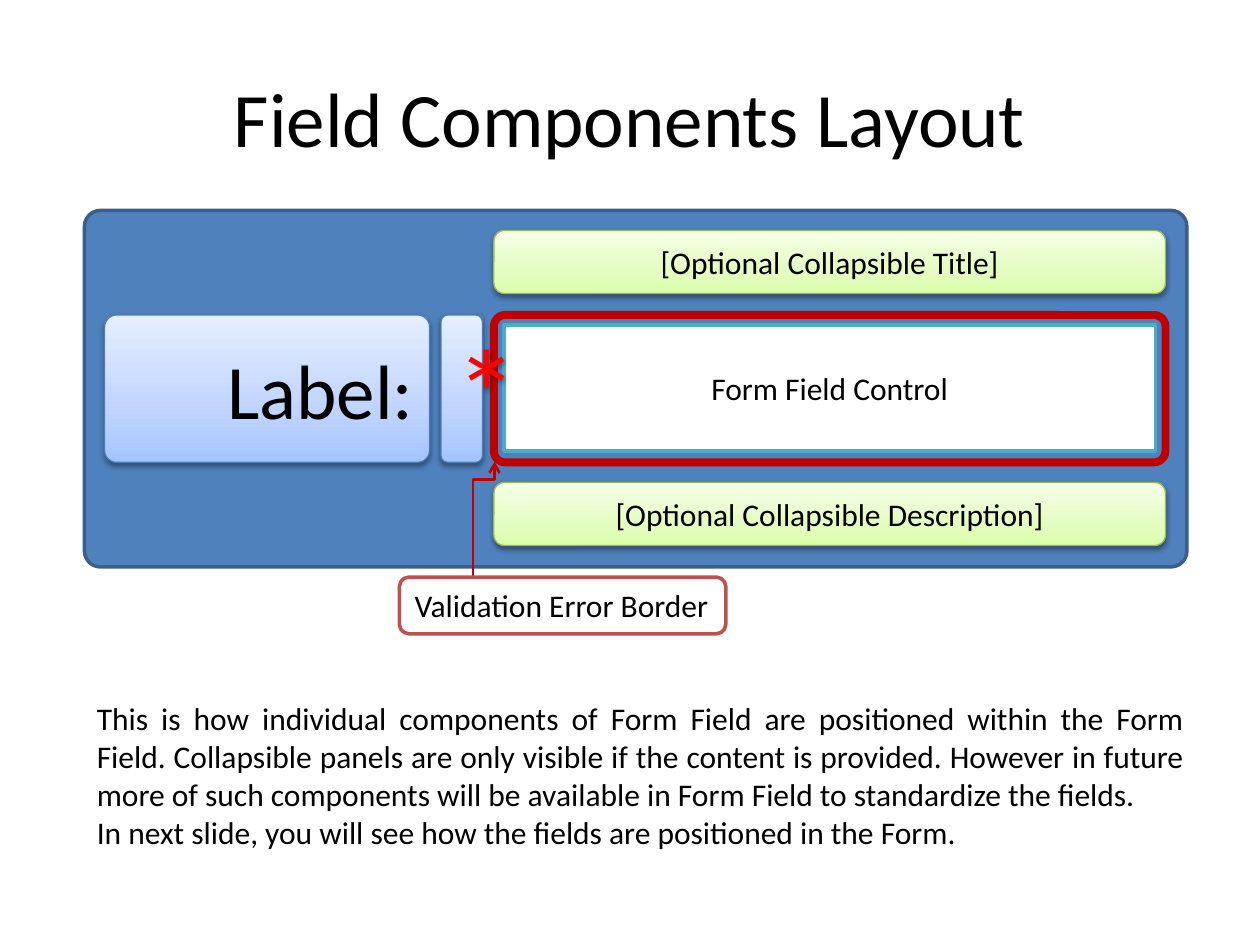
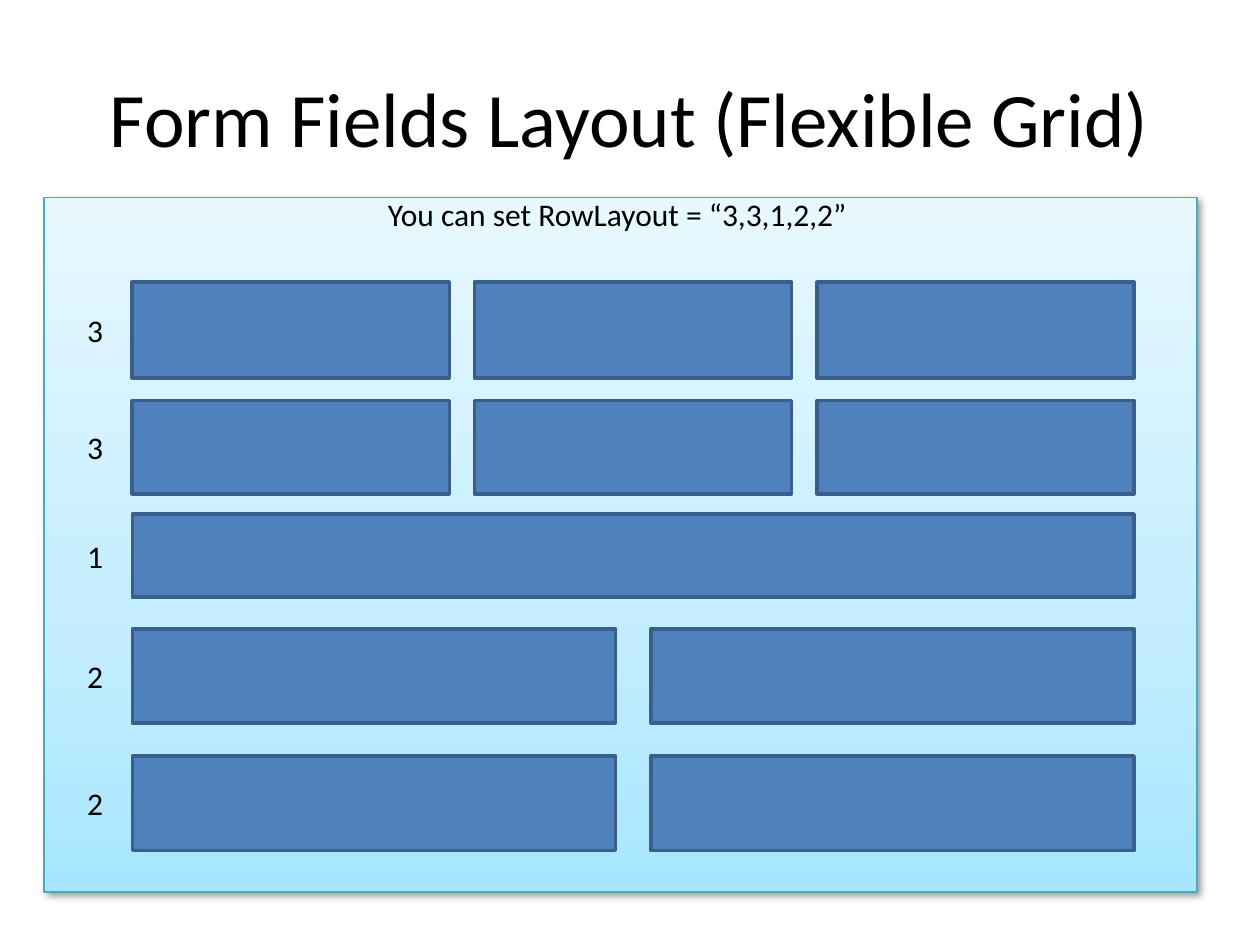
from dataclasses import dataclass

from pptx import Presentation
from pptx.dml.color import RGBColor
from pptx.enum import shapes, text
from pptx.oxml import parse_xml
from pptx.oxml.ns import nsdecls, qn
from pptx.util import Inches, Pt


@dataclass(frozen=True)
class Theme:
    font: str = "Calibri"
    title_size: int = 44
    body_size: int = 18
    star_size: int = 72
    ink: str = "000000"
    white: str = "FFFFFF"
    required: str = "FF0000"
    block: str = "4F81BD"
    block_edge: str = "3A5F8C"
    control_edge: str = "4BACC6"
    error: str = "C00000"
    error_edge: str = "C0504D"
    green: tuple = ("DAFDA7", "E4FCC2", "F5FFE7")  # gradients run bottom to top
    green_edge: str = "98B955"
    blue: tuple = ("A4C4FF", "BFD4FF", "E6EEFF")
    blue_edge: str = "4B7EBC"
    sky: tuple = ("A7E6FF", "C1EDFF", "E7F8FF")
    sky_edge: str = "46AAC5"
    soft_shadow: tuple = (38, 3.1, 1.6, 90)  # opacity, blur, distance, angle
    panel_shadow: tuple = (40, 4, 3, 45)


theme = Theme()
RECT = shapes.MSO_SHAPE.RECTANGLE
ROUND = shapes.MSO_SHAPE.ROUNDED_RECTANGLE
ALIGN = text.PP_ALIGN
ANCHOR = text.MSO_ANCHOR


def add_box(slide, at, kind, fill, edge, width, radius=None, shadow=None):
    """Add a preset shape; fill is a colour, three gradient colours or None."""
    box = slide.shapes.add_shape(kind, *map(Inches, at))
    if radius is not None:
        box.adjustments[0] = radius
    if fill is None:
        box.fill.background()
    elif isinstance(fill, str):
        box.fill.solid()
        box.fill.fore_color.rgb = RGBColor.from_string(fill)
    else:
        box.fill.gradient()
        box.fill.gradient_angle = 90
        stops = box.element.spPr.find(".//" + qn("a:gsLst"))
        for stop in list(stops):
            stops.remove(stop)
        for position, colour in zip((0, 35, 100), fill):
            stops.append(parse_xml(
                f'<a:gs {nsdecls("a")} pos="{position * 1000}">'
                f'<a:srgbClr val="{colour}"/></a:gs>'))
    box.line.color.rgb = RGBColor.from_string(edge)
    box.line.width = Pt(width)
    box.shadow.inherit = False
    if shadow:
        opacity, blur, distance, angle = shadow
        box.element.spPr.find(qn("a:effectLst")).append(parse_xml(
            f'<a:outerShdw {nsdecls("a")} blurRad="{Pt(blur)}" dist="{Pt(distance)}" '
            f'dir="{angle * 60000}" rotWithShape="0"><a:srgbClr val="{theme.ink}">'
            f'<a:alpha val="{opacity * 1000}"/></a:srgbClr></a:outerShdw>'))
    return box


def write(box, lines, size=theme.body_size, colour=theme.ink,
          align=ALIGN.CENTER, anchor=ANCHOR.MIDDLE, wrap=True):
    frame = box.text_frame
    frame.word_wrap = wrap
    frame.vertical_anchor = anchor
    for number, line in enumerate(lines):
        paragraph = frame.add_paragraph() if number else frame.paragraphs[0]
        paragraph.alignment = align
        run = paragraph.add_run()
        run.text = line
        run.font.name = theme.font
        run.font.size = Pt(size)
        run.font.color.rgb = RGBColor.from_string(colour)


deck = Presentation()
deck.slide_width, deck.slide_height = Inches(10), Inches(7.5)

# Slides with their shared title
slides = []
for heading in ("Field Components Layout", "Form Fields Layout (Flexible Grid)"):
    slide = deck.slides.add_slide(deck.slide_layouts[6])
    title = slide.shapes.add_textbox(*map(Inches, (0.5, 0.3, 9, 1.25)))
    write(title, [heading], theme.title_size)
    slides.append(slide)
components, grid = slides

# Slide 1: the field and its control
add_box(components, (0.67, 1.67, 8.75, 2.83), ROUND,
        theme.block, theme.block_edge, 2, 0.045)
control = add_box(components, (4, 2.58, 5.17, 1), RECT,
                  theme.white, theme.control_edge, 2)
write(control, ["Form Field Control"])
add_box(components, (3.92, 2.5, 5.33, 1.17), ROUND, None, theme.error, 4.5, 0.077)

# Collapsible panels above and below the control
for top, caption in ((1.83, "[Optional Collapsible Title]"),
                     (3.83, "[Optional Collapsible Description]")):
    panel = add_box(components, (3.92, top, 5.33, 0.5), ROUND, theme.green,
                    theme.green_edge, 0.75, shadow=theme.soft_shadow)
    write(panel, [caption])

# Required mark and label
required = add_box(components, (3.5, 2.5, 0.33, 1.17), ROUND, theme.blue,
                   theme.blue_edge, 0.75, shadow=theme.soft_shadow)
write(required, ["*"], theme.star_size, theme.required)
label = add_box(components, (0.83, 2.5, 2.58, 1.17), ROUND, theme.blue,
                theme.blue_edge, 0.75, 0.083, theme.soft_shadow)
write(label, ["Label:"], theme.title_size, align=ALIGN.RIGHT)

# Bent arrow from the note up to the error border, turned a quarter
pointer = components.shapes.add_connector(
    shapes.MSO_CONNECTOR.ELBOW, *map(Inches, (4.3, 4.21, 3.38, 4.04)))
pointer.line.color.rgb = RGBColor.from_string(theme.error)
pointer.line.width = Pt(1.5)
outline = pointer.element.spPr
outline.find(qn("a:xfrm")).set("rot", str(90 * 60000))
outline.find(".//" + qn("a:avLst")).append(
    parse_xml(f'<a:gd {nsdecls("a")} name="adj1" fmla="val 84800"/>'))
outline.find(qn("a:ln")).append(
    parse_xml(f'<a:tailEnd {nsdecls("a")} type="arrow"/>'))
outline.append(parse_xml(f'<a:effectLst {nsdecls("a")}/>'))

error_note = add_box(components, (3.17, 4.58, 2.59, 0.45), ROUND,
                     theme.white, theme.error_edge, 2)
write(error_note, ["Validation Error Border"], align=ALIGN.LEFT,
      anchor=ANCHOR.TOP, wrap=False)

# Explanation
explanation = components.shapes.add_textbox(*map(Inches, (0.67, 5.5, 8.83, 1.31)))
write(explanation, [
    "This is how individual components of Form Field are positioned within the "
    "Form Field. Collapsible panels are only visible if the content is provided. "
    "However in future more of such components will be available in Form Field "
    "to standardize the fields.",
    "In next slide, you will see how the fields are positioned in the Form.",
], align=ALIGN.JUSTIFY, anchor=ANCHOR.TOP)

# Slide 2: form panel
add_box(grid, (0.35, 1.57, 9.15, 5.51), RECT, theme.sky, theme.sky_edge, 0.75,
        shadow=theme.panel_shadow)
setting = grid.shapes.add_textbox(*map(Inches, (1.65, 1.5, 6.5, 0.4)))
write(setting, ["You can set RowLayout = “3,3,1,2,2”"], anchor=ANCHOR.TOP)

# Rows: each is shared equally by its number of fields
row_left, row_width = 1.05, 7.95
gaps = {1: 0, 2: 0.28, 3: 0.2}
for count, top, height in ((3, 2.24, 0.76), (3, 3.18, 0.74), (1, 4.08, 0.66),
                           (2, 4.99, 0.75), (2, 6, 0.75)):
    gap = gaps[count]
    field_width = (row_width - gap * (count - 1)) / count
    for column in range(count):
        field_left = row_left + column * (field_width + gap)
        add_box(grid, (field_left, top, field_width, height), RECT,
                theme.block, theme.block_edge, 2)
    row_count = grid.shapes.add_textbox(
        *map(Inches, (0.62, top + height / 2 - 0.2, 0.17, 0.4)))
    write(row_count, [str(count)], align=ALIGN.LEFT, anchor=ANCHOR.TOP)

deck.save("out.pptx")
